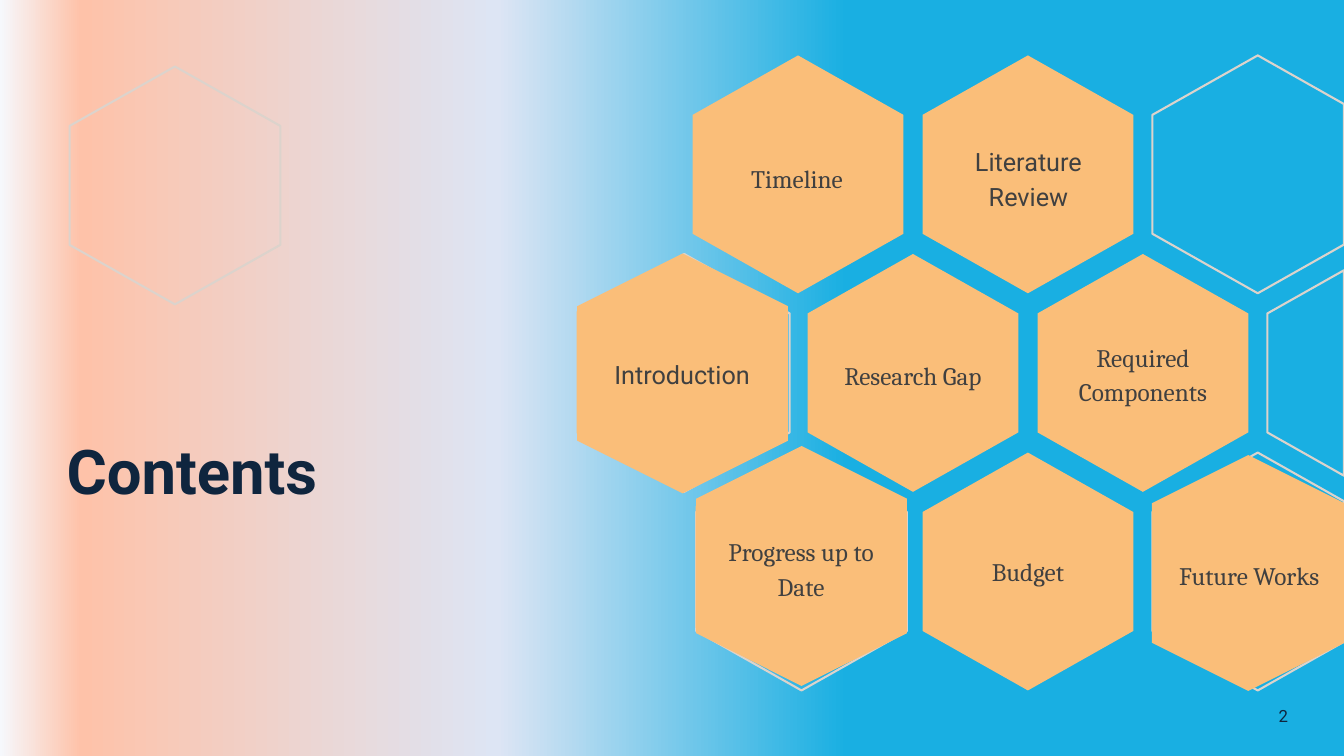
"""Build a contents slide with a honeycomb of topics."""
from lxml.etree import SubElement
from pptx import Presentation
from pptx.dml.color import RGBColor
from pptx.enum.shapes import MSO_SHAPE
from pptx.enum.text import MSO_ANCHOR, PP_ALIGN
from pptx.oxml.ns import qn
from pptx.util import Inches, Pt

WIDTH, HEIGHT = 13.33, 7.5
ORANGE, OUTLINE, NAVY, GREY = "FABE79", "DCD3CC", "0F253E", "404040"
GRADIENT = [(0, "F6F8FC"), (6, "FEC2A9"), (37, "DDE5F4"), (63, "19AFE2")]

CELL_WIDTH, CELL_HEIGHT = 2.09, 2.36
LEFT, TOP, COLUMN_STEP, ROW_STEP = 5.73, 0.55, 1.14, 1.97
FILLED_CELLS = [(1, 0), (3, 0), (2, 1), (3, 2), (4, 1)]
OUTLINED_CELLS = [(5, 0), (6, 1), (5, 2), (0.01, 1), (1.03, 2)]
LONE_HEXAGON = (0.69, 0.66)

COVER_HEXAGONS = [(6.76, 4.57, 2.38, 2.09), (5.58, 2.66, 2.38, 2.09),
                  (11.21, 4.73, 2.34, 1.91)]
TOPICS = [
    ("Timeline", "Cambria", (6.86, 1.18, 2.09, 1.15), None),
    ("Literature Review", "Roboto", (9.16, 1.18, 2.08, 1.15), None),
    ("Research Gap", "Cambria", (8.01, 3.11, 2.09, 1.19), None),
    ("Required Components", "Cambria", (10.29, 3.09, 2.09, 1.21), None),
    ("Budget", "Cambria", (9.15, 5.06, 2.09, 1.18), None),
    ("Introduction", "Roboto", (5.72, 3.09, 2.09, 1.21), ORANGE),
    ("Progress up to Date", "Cambria", (6.9, 5.02, 2.09, 1.21), ORANGE),
    ("Future Works", "Cambria", (11.45, 5.08, 1.88, 1.21), ORANGE),
]


def color(value):
    """Turn a hex string into a colour."""
    return RGBColor.from_string(value)


def paint(shape, fill=None, line=None):
    """Set the fill and line of a shape and drop its shadow."""
    shape.shadow.inherit = False
    if fill:
        shape.fill.solid()
        shape.fill.fore_color.rgb = color(fill)
    else:
        shape.fill.background()
    if line:
        shape.line.color.rgb = color(line)
        shape.line.width = Pt(1.5)
    else:
        shape.line.fill.background()


def paint_background(page):
    """Fill the page with the left-to-right gradient."""
    fill = page.background.fill
    fill.gradient()
    fill.gradient_angle = 0
    stops = next(page.background._cSld.iter(qn("a:gsLst")))
    for stop in list(stops):
        stops.remove(stop)
    for share, value in GRADIENT:
        stop = SubElement(stops, qn("a:gs"), pos=str(share * 1000))
        SubElement(stop, qn("a:srgbClr"), val=value)


def clip_right(points):
    """Cut a polygon at the right edge of the slide."""
    kept = []
    for (x1, y1), (x2, y2) in zip(points, points[1:] + points[:1]):
        if x1 <= WIDTH:
            kept.append((x1, y1))
        if (x1 <= WIDTH) != (x2 <= WIDTH):
            kept.append((WIDTH, y1 + (y2 - y1) * (WIDTH - x1) / (x2 - x1)))
    return kept


def add_cell(page, left, top, **paints):
    """Draw one upright hexagon of the honeycomb."""
    middle, right = left + CELL_WIDTH / 2, left + CELL_WIDTH
    upper, lower = top + CELL_HEIGHT / 4, top + CELL_HEIGHT * 3 / 4
    points = clip_right([(left, upper), (middle, top), (right, upper),
                         (right, lower), (middle, top + CELL_HEIGHT), (left, lower)])
    corners = [(Inches(x), Inches(y)) for x, y in points]
    builder = page.shapes.build_freeform(*corners[0])
    builder.add_line_segments(corners[1:], close=True)
    paint(builder.convert_to_shape(), **paints)


def write(box, text, font="Roboto", size=18, ink=GREY, bold=False,
          align=PP_ALIGN.CENTER, spacing=1.0, inset=0.1):
    """Write one formatted paragraph in a box."""
    frame = box.text_frame
    frame.word_wrap = True
    frame.vertical_anchor = MSO_ANCHOR.MIDDLE
    frame.margin_left = frame.margin_right = Inches(inset)
    para = frame.paragraphs[0]
    para.alignment = align
    para.line_spacing = spacing
    span = para.add_run()
    span.text = text
    span.font.name = font
    span.font.size = Pt(size)
    span.font.bold = bold
    span.font.color.rgb = color(ink)


def main():
    """Build and save the deck."""
    deck = Presentation()
    deck.slide_width, deck.slide_height = Inches(WIDTH), Inches(HEIGHT)
    page = deck.slides.add_slide(deck.slide_layouts[5])
    paint_background(page)

    for cells, paints in ((FILLED_CELLS, {"fill": ORANGE}),
                          (OUTLINED_CELLS, {"line": OUTLINE})):
        for column, row in cells:
            add_cell(page, LEFT + column * COLUMN_STEP, TOP + row * ROW_STEP, **paints)
    add_cell(page, *LONE_HEXAGON, line=OUTLINE)

    for place in COVER_HEXAGONS:
        hexagon = page.shapes.add_shape(MSO_SHAPE.HEXAGON, *map(Inches, place))
        hexagon.rotation = 90
        paint(hexagon, fill=ORANGE)

    title = page.shapes.title
    title.left, title.top, title.width, title.height = map(Inches, (0.56, 3.76, 4.65, 1.9))
    write(title, "Contents", size=44, ink=NAVY, bold=True,
          align=PP_ALIGN.LEFT, spacing=0.9)

    for text, font, place, fill in TOPICS:
        if fill:
            label = page.shapes.add_shape(MSO_SHAPE.RECTANGLE, *map(Inches, place))
            paint(label, fill=fill)
        else:
            label = page.shapes.add_textbox(*map(Inches, place))
        write(label, text, font=font, spacing=1.13, inset=0.15)

    number = page.shapes.add_textbox(*map(Inches, (12.48, 6.86, 0.5, 0.49)))
    write(number, "2", size=12, ink=NAVY)
    deck.save("out.pptx")


if __name__ == "__main__":
    main()
